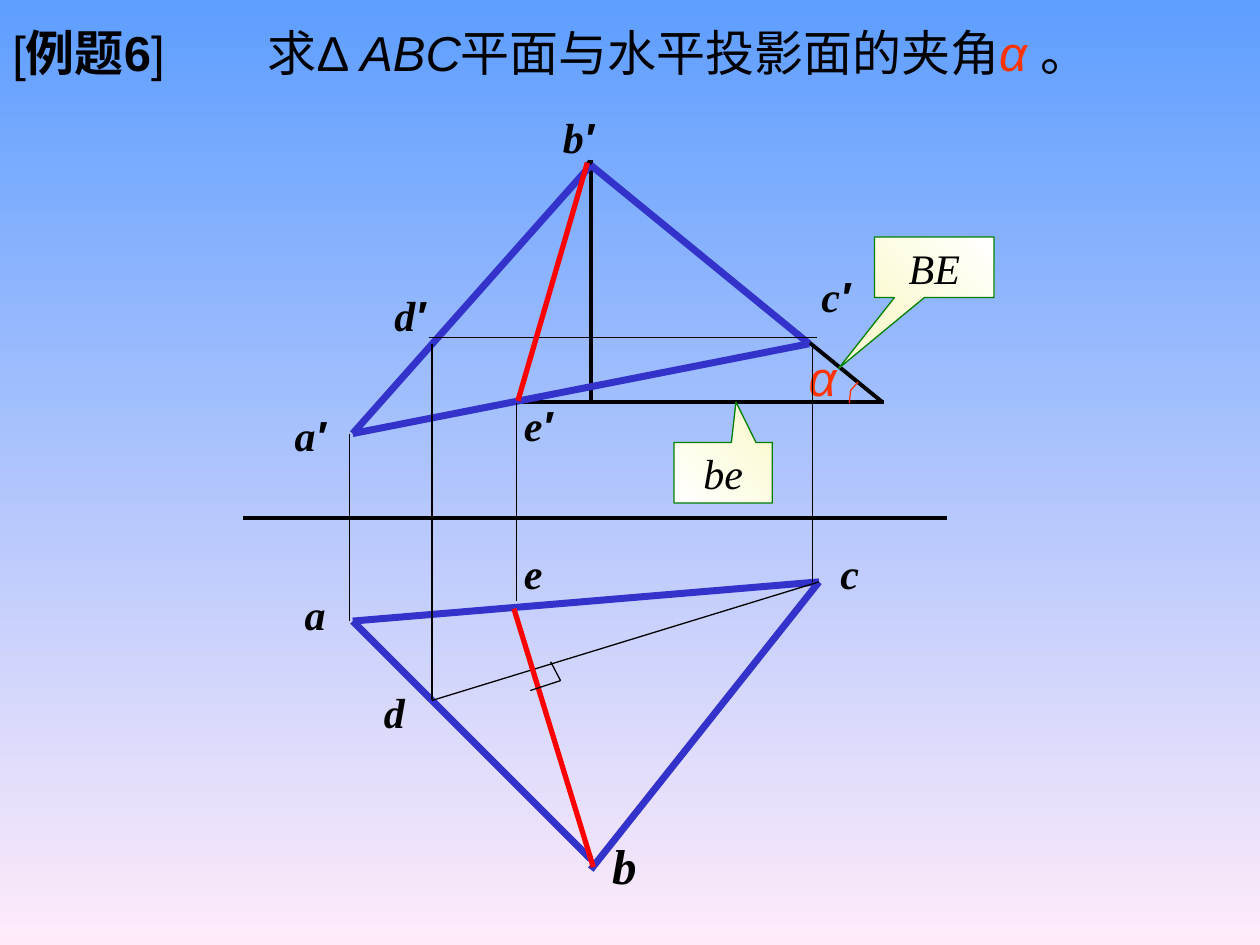
from lxml import etree
from pptx import Presentation
from pptx.dml.color import RGBColor
from pptx.enum.shapes import MSO_CONNECTOR, MSO_SHAPE
from pptx.enum.text import MSO_ANCHOR, PP_ALIGN
from pptx.oxml.ns import qn
from pptx.util import Cm, Pt

BLACK = RGBColor(0x00, 0x00, 0x00)
BLUE = RGBColor(0x33, 0x33, 0xCC)
RED = RGBColor(0xFF, 0x00, 0x00)
ORANGE = RGBColor(0xFF, 0x33, 0x00)
GREEN = RGBColor(0x00, 0x80, 0x00)
CREAM = RGBColor(0xFC, 0xFA, 0xD4)
WHITE = RGBColor(0xFF, 0xFF, 0xFF)
SKY = RGBColor(0x5E, 0x9E, 0xFF)
PINK = RGBColor(0xFF, 0xEB, 0xFA)
SANS, SERIF = "Arial", "Times New Roman"

# All positions are in centimetres.
TITLE_GAP = 5.15
TITLE = [  # text, bold, italic, colour
    ("[", False, False, BLACK),
    ("例题6", True, False, BLACK),
    ("]\t求Δ ", False, False, BLACK),
    ("ABC", False, True, BLACK),
    ("平面与水平投影面的夹角", False, False, BLACK),
    ("α ", False, True, ORANGE),
    ("。", False, False, BLACK),
]

# Corners of the triangle in the front view and in the top view
A_FRONT, B_FRONT, C_FRONT = (7.11, 8.74), (11.91, 3.33), (16.31, 6.93)
A_TOP, B_TOP, C_TOP = (7.11, 12.52), (11.91, 17.53), (16.51, 11.73)
D_TOP = (8.71, 14.12)
CORNER = (11.3, 13.72)

TRUE_LENGTH = [  # right triangle that shows the angle
    ((10.41, 8.1), (17.83, 8.1)),
    ((11.91, 3.23), (11.91, 8.15)),
    ((17.78, 8.1), (11.84, 3.25)),
]
TRIANGLES = [
    (A_FRONT, B_FRONT), (B_FRONT, C_FRONT), (A_FRONT, C_FRONT),
    (A_TOP, C_TOP), (C_TOP, B_TOP), ((11.91, 17.32), A_TOP),
]
PROJECTORS = [
    ((7.04, 12.52), (7.04, 8.74)),
    (D_TOP, (8.71, 6.93)),
    ((16.38, 6.93), (16.38, 11.73)),
    ((10.41, 8.13), (10.41, 12.12)),
    ((8.64, 6.81), (16.46, 6.81)),
    (D_TOP, C_TOP),
]
STEEPEST = [((11.84, 3.28), (10.44, 8.08)), ((10.36, 12.27), (11.96, 17.48))]
RIGHT_ANGLE = [((11.1, 13.34), CORNER), (CORNER, (10.69, 13.92))]
AXIS = [((19.1, 10.44), (4.9, 10.44))]
ANGLE_ARC = [(17.3, 7.7), (17.15, 7.87), (17.12, 8.13)]

CALLOUTS = [  # text, box, tip, gradient
    ("be", (13.59, 8.92, 1.98, 1.22), (0.13, -1.17), (CREAM, WHITE)),
    ("BE", (17.63, 4.78, 2.41, 1.22), (-0.8, 1.67), (WHITE, CREAM)),
]
LABEL_SIZE = (2.01, 1.27)
LABELS = [  # letter, prime, left, top
    ("b", "′", 11.1, 2.13), ("a", "′", 5.69, 8.13), ("c", "′", 16.31, 5.33),
    ("d", "", 7.49, 13.72), ("d", "′", 7.7, 5.72), ("e", "′", 10.31, 7.92),
    ("e", "", 10.31, 10.92), ("c", "", 16.69, 10.92), ("a", "", 5.89, 11.73),
]


def set_gradient(fill, colors, clockwise):
    fill.gradient()
    fill.gradient_angle = 360 - clockwise
    for stop, color in zip(fill.gradient_stops, colors):
        stop.color.rgb = color


def add_lines(slide, segments, color, width):
    for start, end in segments:
        line = slide.shapes.add_connector(
            MSO_CONNECTOR.STRAIGHT, *map(Cm, start + end))
        line.line.color.rgb = color
        line.line.width = Pt(width)
        etree.SubElement(line._element.spPr, qn("a:effectLst"))


def style(font, face, size, color=BLACK, bold=False, italic=True):
    font.name, font.size, font.bold, font.italic = face, Pt(size), bold, italic
    font.color.rgb = color


def add_text_frame(slide, box, anchor=MSO_ANCHOR.TOP):
    frame = slide.shapes.add_textbox(*map(Cm, box)).text_frame
    frame.word_wrap = True
    frame.vertical_anchor = anchor
    return frame


def add_text(slide, text, box, *font, anchor=MSO_ANCHOR.TOP, **looks):
    paragraph = add_text_frame(slide, box, anchor).paragraphs[0]
    paragraph.text = text
    style(paragraph.font, *font, **looks)


def add_title(slide):
    box = (0, 0, 25.4, 2.11)
    paragraph = add_text_frame(slide, box, MSO_ANCHOR.MIDDLE).paragraphs[0]
    tabs = etree.SubElement(paragraph._p.get_or_add_pPr(), qn("a:tabLst"))
    etree.SubElement(tabs, qn("a:tab"), pos=str(Cm(TITLE_GAP)), algn="l")
    for text, bold, italic, color in TITLE:
        run = paragraph.add_run()
        run.text = text
        style(run.font, SANS, 28, color, bold, italic)


def add_callout(slide, text, box, tip, colors):
    callout = slide.shapes.add_shape(
        MSO_SHAPE.RECTANGULAR_CALLOUT, *map(Cm, box))
    callout.shadow.inherit = False
    callout.adjustments[0], callout.adjustments[1] = tip
    set_gradient(callout.fill, colors, 135)
    callout.line.color.rgb = GREEN
    callout.line.width = Pt(0.75)
    frame = callout.text_frame
    frame.word_wrap = False
    frame.vertical_anchor = MSO_ANCHOR.MIDDLE
    paragraph = frame.paragraphs[0]
    paragraph.text = text
    paragraph.alignment = PP_ALIGN.CENTER
    style(paragraph.font, SERIF, 24)


def add_angle(slide):
    points = [(Cm(x), Cm(y)) for x, y in ANGLE_ARC]
    builder = slide.shapes.build_freeform(*points[0])
    builder.add_line_segments(points[1:], close=False)
    arc = builder.convert_to_shape()
    arc.shadow.inherit = False
    arc.fill.background()
    arc.line.color.rgb = ORANGE
    arc.line.width = Pt(0.75)
    add_text(slide, "α", (16.05, 6.88, 1.7, 1.45), SANS, 28, ORANGE)


def add_label(slide, letter, prime, left, top):
    box = (left, top, *LABEL_SIZE)
    paragraph = add_text_frame(slide, box).paragraphs[0]
    for text, face in ((letter, SERIF), (prime, SANS)):
        if text:
            run = paragraph.add_run()
            run.text = text
            style(run.font, face, 24, bold=True)


def main():
    prs = Presentation()
    prs.slide_width, prs.slide_height = Cm(25.4), Cm(19.05)
    slide = prs.slides.add_slide(prs.slide_layouts[6])
    set_gradient(slide.background.fill, (SKY, PINK), 90)

    add_title(slide)
    add_lines(slide, TRUE_LENGTH, BLACK, 2.25)
    add_angle(slide)
    for callout in CALLOUTS:
        add_callout(slide, *callout)
    add_text(slide, "b", (12.09, 16.54, 1.3, 1.8), SERIF, 28,
             bold=True, anchor=MSO_ANCHOR.MIDDLE)
    add_lines(slide, TRIANGLES, BLUE, 4)
    add_lines(slide, PROJECTORS, BLACK, 0.75)
    add_lines(slide, STEEPEST, RED, 3)
    add_lines(slide, RIGHT_ANGLE, BLACK, 0.75)
    for label in LABELS:
        add_label(slide, *label)
    add_lines(slide, AXIS, BLACK, 2)
    prs.save("out.pptx")


if __name__ == "__main__":
    main()
